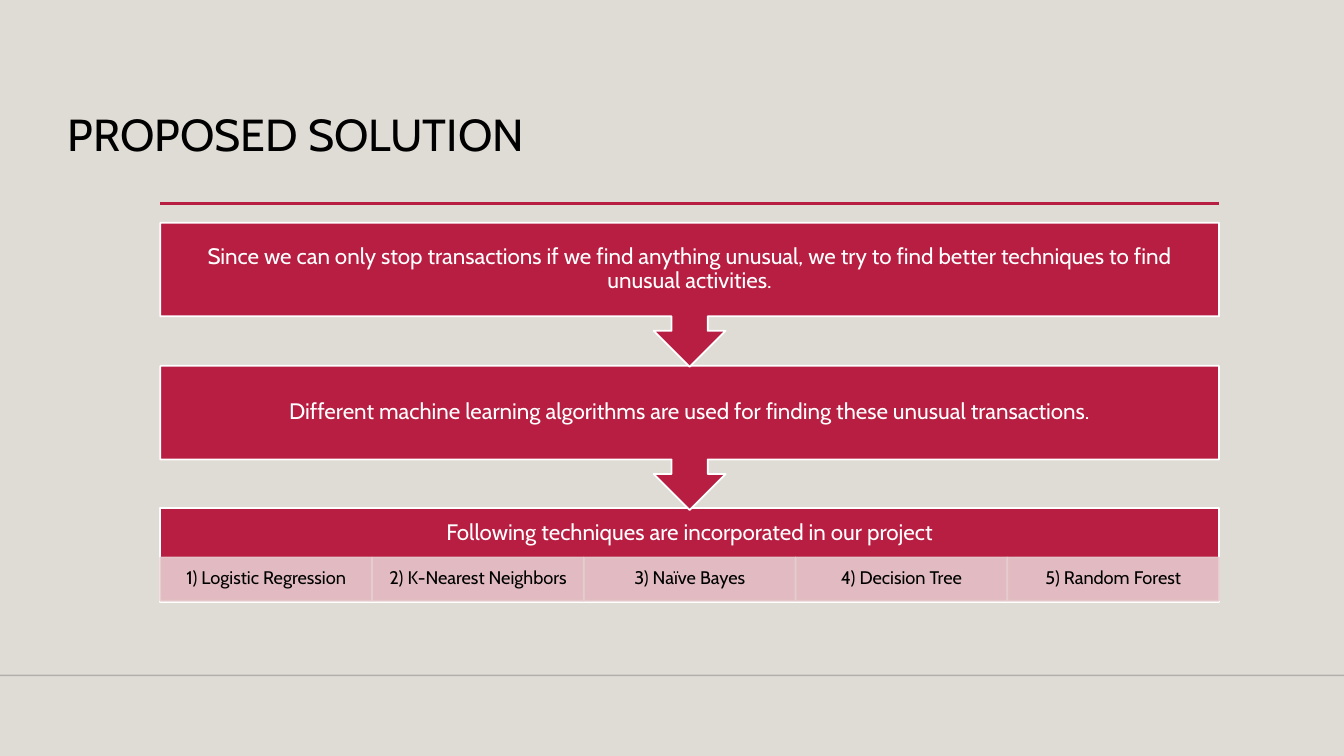
import pptx
import pptx.dml.color
import pptx.enum.shapes
import pptx.enum.text
import pptx.oxml
import pptx.oxml.ns
import pptx.util

Inches = pptx.util.Inches
Pt = pptx.util.Pt
SHAPE = pptx.enum.shapes.MSO_SHAPE
ALIGN = pptx.enum.text.PP_ALIGN
ANCHOR = pptx.enum.text.MSO_ANCHOR


def rgb(value):
    return pptx.dml.color.RGBColor.from_string(value)


def paint(fill, color, alpha=100):
    """Make a fill solid, with its opacity in percent."""
    fill.solid()
    fill.fore_color.rgb = rgb(color)
    if alpha < 100:
        clr = fill._xPr.find(".//" + pptx.oxml.ns.qn("a:srgbClr"))
        node = pptx.oxml.parse_xml(
            f'<a:alpha {pptx.oxml.ns.nsdecls("a")} val="{alpha * 1000}"/>')
        clr.append(node)


def write(sp, text, size=16, color="FFFFFF", align=ALIGN.CENTER,
          anchor=ANCHOR.MIDDLE, insets=(0.12, 0.12, 0.12, 0.12)):
    """Put one paragraph in a shape; insets are left, top, right, bottom."""
    tf = sp.text_frame
    tf.word_wrap = True
    tf.vertical_anchor = anchor
    (tf.margin_left, tf.margin_top,
     tf.margin_right, tf.margin_bottom) = map(Inches, insets)
    p = tf.paragraphs[0]
    p.alignment = align
    p.line_spacing = 0.9
    r = p.add_run()
    r.text = text
    r.font.name = Deck.font
    r.font.size = Pt(size)
    r.font.color.rgb = rgb(color)


class Deck:
    font = "Cabin"
    background = "DFDBD5"
    accent = "B71E42"
    tint = "E6CDCF"

    def __init__(self, prs):
        self.s = prs.slides.add_slide(prs.slide_layouts[6])
        paint(self.s.background.fill, self.background)

    def rule(self, left, right, top, color, width, alpha=100):
        """Draw a horizontal line."""
        line = self.s.shapes.add_connector(
            pptx.enum.shapes.MSO_CONNECTOR.STRAIGHT,
            Inches(left), Inches(top), Inches(right), Inches(top))
        line.line.width = Pt(width)
        paint(line.line.fill, color, alpha)
        line._element.spPr.append(pptx.oxml.parse_xml(
            f'<a:effectLst {pptx.oxml.ns.nsdecls("a")}/>'))

    def title(self, text, left, top, width, height):
        sp = self.s.shapes.add_textbox(
            Inches(left), Inches(top), Inches(width), Inches(height))
        write(sp, text, size=32, color="000000", align=ALIGN.LEFT,
              anchor=ANCHOR.TOP, insets=(0.1, 0.05, 0.1, 0.05))

    def box(self, kind, text, left, top, width, height,
            fill=accent, line="FFFFFF", alpha=100, **style):
        sp = self.s.shapes.add_shape(
            kind, Inches(left), Inches(top), Inches(width), Inches(height))
        sp.shadow.inherit = False
        paint(sp.fill, fill, alpha)
        sp.line.width = Pt(1.25)
        paint(sp.line.fill, line, alpha)
        write(sp, text, **style)


STEPS = [
    "Since we can only stop transactions if we find anything unusual, "
    "we try to find better techniques to find unusual activities.",
    "Different machine learning algorithms are used for finding these "
    "unusual transactions.",
]
TECHNIQUES = ["Logistic Regression", "K-Nearest Neighbors", "Naïve Bayes",
              "Decision Tree", "Random Forest"]


def main():
    prs = pptx.Presentation()
    prs.slide_width = Inches(13.33)
    prs.slide_height = Inches(7.5)
    deck = Deck(prs)

    left, width = 1.59, 10.5
    deck.rule(0, 13.33, 6.7, "000001", 1, alpha=20)
    deck.rule(left, left + width, 2.02, deck.accent, 2.5)
    deck.title("PROPOSED SOLUTION", 0.57, 1.07, 5.49, 2.27)

    cell_height = 0.43
    deck.box(SHAPE.RECTANGLE, "Following techniques are incorporated in our project",
             left, 5.04, width, 0.93, insets=(0.12, 0.12, 0.12, cell_height + 0.12))
    cell_width = width / len(TECHNIQUES)
    for i, name in enumerate(TECHNIQUES):
        deck.box(SHAPE.RECTANGLE, f"{i + 1}) {name}", left + i * cell_width, 5.53,
                 cell_width, cell_height, fill=deck.tint, line=deck.tint, alpha=90,
                 size=13, color="000000", insets=(0.1, 0.02, 0.1, 0.02))

    step_top, step_pitch = 2.21, 1.42
    for i, text in reversed(list(enumerate(STEPS))):
        deck.box(SHAPE.DOWN_ARROW_CALLOUT, text,
                 left, step_top + i * step_pitch, width, 1.43)

    prs.save("out.pptx")


if __name__ == "__main__":
    main()
